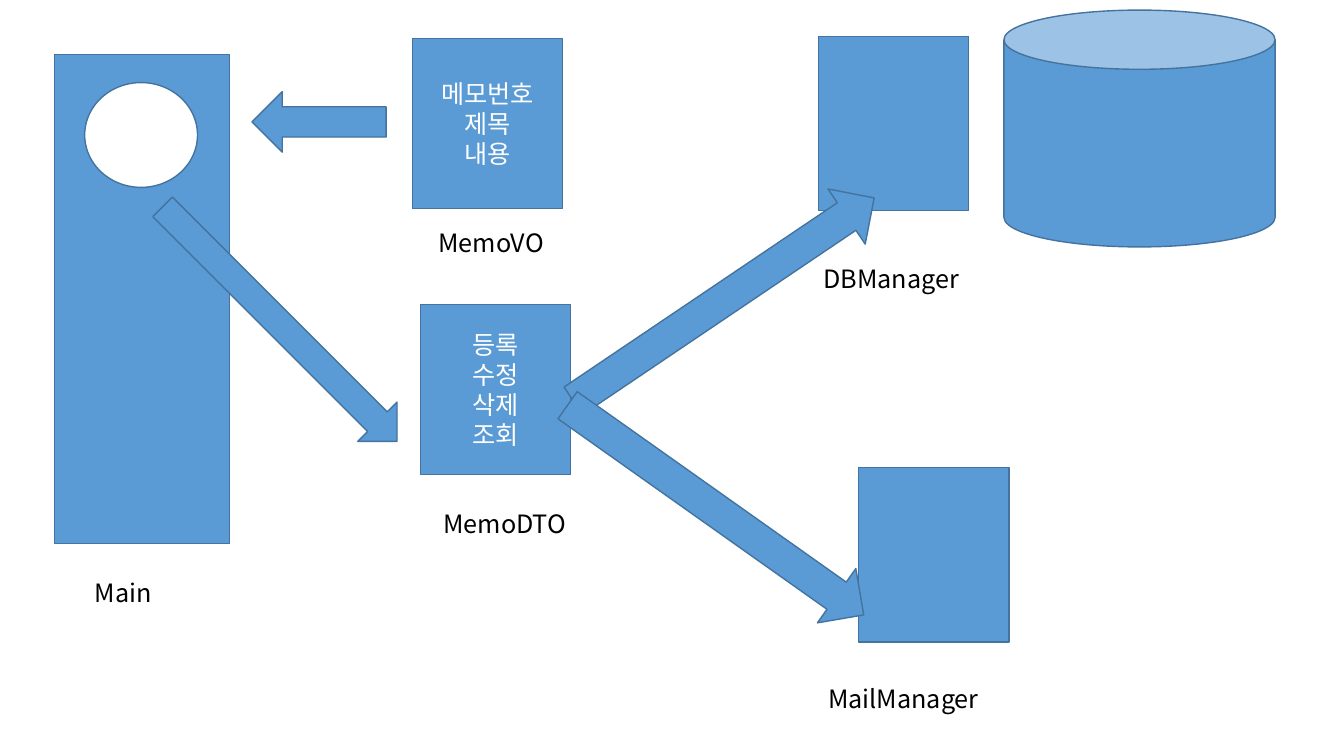
from dataclasses import dataclass

from lxml.etree import SubElement
from pptx import Presentation
from pptx.dml.color import RGBColor
from pptx.enum.shapes import MSO_SHAPE
from pptx.enum.text import MSO_ANCHOR, MSO_AUTO_SIZE, PP_ALIGN
from pptx.oxml.ns import qn
from pptx.slide import Slide
from pptx.text.text import TextFrame
from pptx.util import Pt

COLOURS = {"blue": "5B9BD5", "outline": "43739E", "white": "FFFFFF", "black": "000000"}
FONT = "Noto Sans CJK KR"
FONT_SIZE = 18
LABEL_HEIGHT = 28.8
CLASS_WIDTH = 107.3
MEMO_HEIGHT = 121.7
MANAGER_HEIGHT = 124.6


@dataclass(frozen=True)
class Figure:
    kind: MSO_SHAPE
    left: float
    top: float
    width: float
    height: float
    lines: tuple[str, ...] = ()
    rotation: float = 0
    fill: str = "blue"


@dataclass(frozen=True)
class Label:
    text: str
    left: float
    top: float
    width: float


BLOCKS = [
    Figure(MSO_SHAPE.CAN, 717.1, 7.2, 193.7, 169.2),  # database
    Figure(MSO_SHAPE.RECTANGLE, 38.9, 38.9, 125.3, 349.2),  # Main
    Figure(MSO_SHAPE.RECTANGLE, 584.6, 25.9, CLASS_WIDTH, MANAGER_HEIGHT),
    Figure(MSO_SHAPE.RECTANGLE, 294.5, 27.4, CLASS_WIDTH, MEMO_HEIGHT,
           ("메모번호", "제목", "내용")),
    Figure(MSO_SHAPE.RECTANGLE, 300.2, 217.4, CLASS_WIDTH, MEMO_HEIGHT,
           ("등록", "수정", "삭제", "조회")),
    Figure(MSO_SHAPE.RECTANGLE, 613.4, 334.1, CLASS_WIDTH, MANAGER_HEIGHT),
    Figure(MSO_SHAPE.OVAL, 60.5, 59, 80.6, 74.9, fill="white"),
]

ARROWS = [
    Figure(MSO_SHAPE.LEFT_ARROW, 180, 65.5, 95.8, 43.2),
    Figure(MSO_SHAPE.RIGHT_ARROW, 81.4, 211.7, 236.9, 39.6, rotation=45),
    Figure(MSO_SHAPE.RIGHT_ARROW, 387.4, 190.1, 259.2, 47.5, rotation=326),
    Figure(MSO_SHAPE.RIGHT_ARROW, 381.6, 340.6, 259.2, 47.5, rotation=35.3),
]

LABELS = [
    Label("Main", 60.5, 409, 55.4),
    Label("DBManager", 581, 184.3, 111.6),
    Label("MemoVO", 306, 159.1, 92.9),
    Label("MemoDTO", 309.6, 359.3, 103),
    Label("MailManager", 584.6, 484.6, 122.4),
]


def colour(name: str) -> RGBColor:
    return RGBColor.from_string(COLOURS[name])


def write_lines(frame: TextFrame, lines: tuple[str, ...], ink: str,
                alignment: PP_ALIGN) -> None:
    for index, line in enumerate(lines):
        para = frame.add_paragraph() if index else frame.paragraphs[0]
        para.alignment = alignment
        span = para.add_run()
        span.text = line
        span.font.size = Pt(FONT_SIZE)
        span.font.name = FONT
        span.font.color.rgb = colour(ink)
        # Korean letters take the East Asian typeface
        SubElement(span.font._element, qn("a:ea"), typeface=FONT)


def draw_figure(page: Slide, figure: Figure) -> None:
    shape = page.shapes.add_shape(figure.kind, Pt(figure.left), Pt(figure.top),
                                  Pt(figure.width), Pt(figure.height))
    shape.rotation = figure.rotation
    shape.shadow.inherit = False
    shape.fill.solid()
    shape.fill.fore_color.rgb = colour(figure.fill)
    shape.line.color.rgb = colour("outline")
    shape.line.width = Pt(1)
    shape.text_frame.vertical_anchor = MSO_ANCHOR.MIDDLE
    write_lines(shape.text_frame, figure.lines, "white", PP_ALIGN.CENTER)


def draw_label(page: Slide, label: Label) -> None:
    box = page.shapes.add_textbox(Pt(label.left), Pt(label.top),
                                  Pt(label.width), Pt(LABEL_HEIGHT))
    box.text_frame.word_wrap = False
    box.text_frame.auto_size = MSO_AUTO_SIZE.SHAPE_TO_FIT_TEXT
    write_lines(box.text_frame, (label.text,), "black", PP_ALIGN.LEFT)


def main() -> None:
    deck = Presentation()
    deck.slide_width, deck.slide_height = Pt(960), Pt(540)
    page = deck.slides.add_slide(deck.slide_layouts[6])

    # Classes and database, their names, then the arrows on top
    for block in BLOCKS:
        draw_figure(page, block)
    for label in LABELS:
        draw_label(page, label)
    for arrow in ARROWS:
        draw_figure(page, arrow)

    deck.save("out.pptx")


if __name__ == "__main__":
    main()
